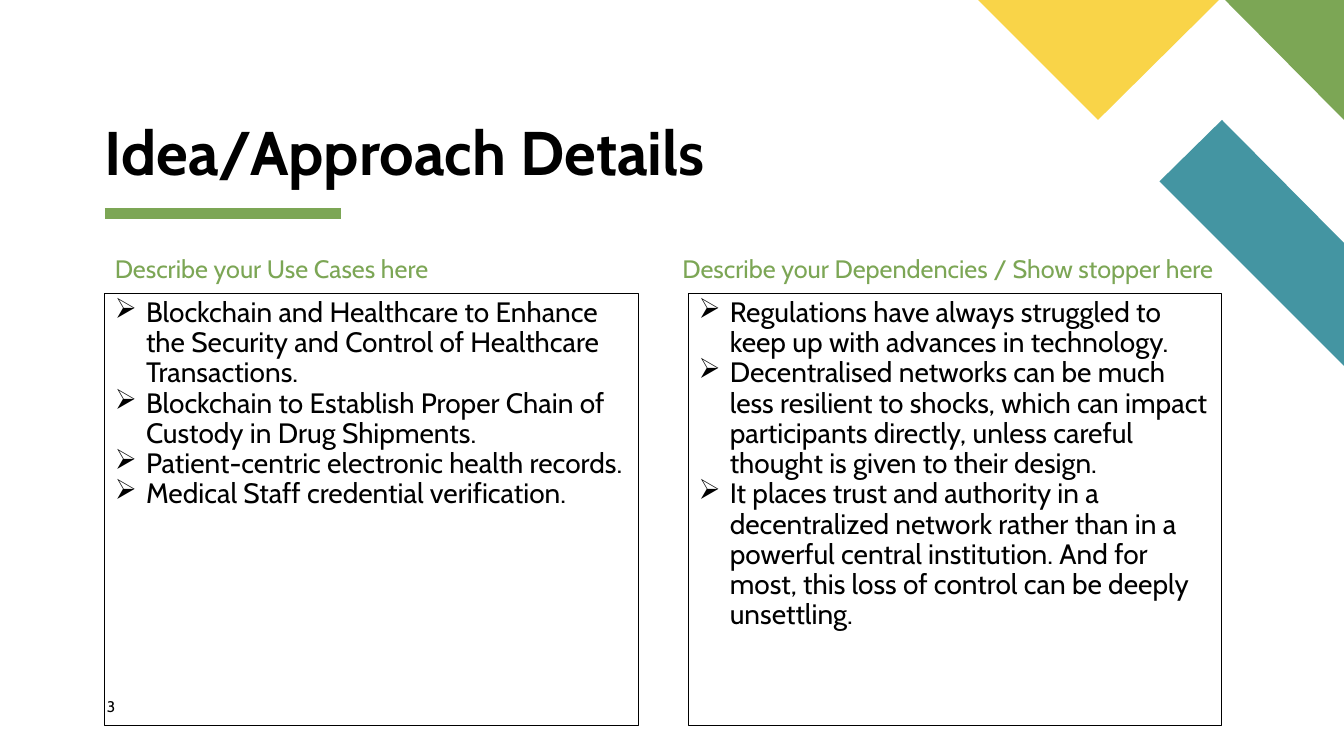
"""Build the Idea/Approach Details slide."""
from dataclasses import dataclass

from lxml.etree import SubElement
from pptx import Presentation
from pptx.dml.color import RGBColor
from pptx.enum.shapes import MSO_CONNECTOR, MSO_SHAPE
from pptx.enum.text import MSO_ANCHOR, PP_ALIGN
from pptx.oxml.ns import qn
from pptx.util import Inches, Pt

BLACK = RGBColor(0x00, 0x00, 0x00)
GREEN = RGBColor(0x7C, 0xA6, 0x55)
TEAL = RGBColor(0x44, 0x95, 0xA2)
YELLOW = RGBColor(0xF9, 0xD4, 0x48)
FONT = "Cabin"
WIDTH, HEIGHT = 13.33, 7.5
LEFT = 1.04
HEADING_TOP, HEADING_HEIGHT = 2.5, 0.35
BOX_TOP, BOX_WIDTH, BOX_HEIGHT = 2.91, 5.29, 4.29
BULLET_INDENT = 0.31


@dataclass(frozen=True)
class Polygon:
    points: tuple[tuple[float, float], ...]
    color: RGBColor


@dataclass(frozen=True)
class Column:
    heading: str
    heading_left: float
    heading_width: float
    box_left: float
    bullets: tuple[str, ...]


POLYGONS = (
    Polygon(((WIDTH, 3.63), (WIDTH, 2.41), (12.12, 1.19), (11.5, 1.8)), TEAL),
    Polygon(((WIDTH, 1.19), (WIDTH, 0), (12.15, 0)), GREEN),
    Polygon(((9.7, 0), (10.89, 1.19), (12.09, 0)), YELLOW),
)

COLUMNS = (
    Column("Describe your Use Cases here", LEFT, BOX_WIDTH, LEFT, (
        "Blockchain and Healthcare to Enhance the Security and Control of "
        "Healthcare Transactions.",
        "Blockchain to Establish Proper Chain of Custody in Drug Shipments.",
        "Patient-centric electronic health records.",
        "Medical Staff credential verification.",
    )),
    Column("Describe your Dependencies / Show stopper here", 6.67, 5.62, 6.83, (
        "Regulations have always struggled to keep up with advances in technology.",
        "Decentralised networks can be much less resilient to shocks, which can "
        "impact participants directly, unless careful thought is given to their design.",
        "It places trust and authority in a decentralized network rather than in a "
        "powerful central institution. And for most, this loss of control can be "
        "deeply unsettling.",
    )),
)


def add_polygon(slide, polygon: Polygon) -> None:
    start, *others = [(Inches(x), Inches(y)) for x, y in polygon.points]
    builder = slide.shapes.build_freeform(*start)
    builder.add_line_segments(others, close=True)
    shape = builder.convert_to_shape()
    shape.shadow.inherit = False
    shape.fill.solid()
    shape.fill.fore_color.rgb = polygon.color
    shape.line.fill.background()


def add_accent_line(slide) -> None:
    line = slide.shapes.add_connector(
        MSO_CONNECTOR.STRAIGHT, Inches(LEFT), Inches(2.12), Inches(3.38), Inches(2.12))
    line.line.color.rgb = GREEN
    line.line.width = Pt(8)
    SubElement(line.element.spPr, qn("a:effectLst"))


def set_margins(text_frame, horizontal: float, vertical: float) -> None:
    text_frame.margin_left = text_frame.margin_right = Inches(horizontal)
    text_frame.margin_top = text_frame.margin_bottom = Inches(vertical)


def add_run(paragraph, text: str, size: float, color: RGBColor = BLACK,
            bold: bool = False) -> None:
    run = paragraph.add_run()
    run.text = text
    run.font.name = FONT
    run.font.size = Pt(size)
    run.font.bold = bold
    run.font.color.rgb = color


def add_label(slide, text: str, left: float, top: float, width: float, height: float,
              size: float, color: RGBColor = BLACK, bold: bool = False,
              margins: tuple[float, float] = (0, 0), line_spacing: float = 0.9,
              anchor: MSO_ANCHOR = MSO_ANCHOR.TOP) -> None:
    shape = slide.shapes.add_textbox(Inches(left), Inches(top), Inches(width), Inches(height))
    text_frame = shape.text_frame
    text_frame.word_wrap = True
    text_frame.vertical_anchor = anchor
    set_margins(text_frame, *margins)
    paragraph = text_frame.paragraphs[0]
    paragraph.line_spacing = line_spacing
    add_run(paragraph, text, size, color, bold)


def set_bullet(paragraph) -> None:
    properties = paragraph._p.get_or_add_pPr()
    properties.set("marL", str(Inches(BULLET_INDENT)))
    properties.set("indent", str(-Inches(BULLET_INDENT)))
    bullet_color = SubElement(properties, qn("a:buClr"))
    SubElement(bullet_color, qn("a:srgbClr"), val=str(BLACK))
    SubElement(properties, qn("a:buChar"), char="➢")


def add_column(slide, column: Column) -> None:
    add_label(slide, column.heading, column.heading_left, HEADING_TOP,
              column.heading_width, HEADING_HEIGHT, 18, GREEN, margins=(0.1, 0.05))
    box = slide.shapes.add_shape(
        MSO_SHAPE.RECTANGLE, Inches(column.box_left), Inches(BOX_TOP),
        Inches(BOX_WIDTH), Inches(BOX_HEIGHT))
    box.shadow.inherit = False
    box.fill.background()
    box.line.color.rgb = BLACK
    box.line.width = Pt(0.75)
    text_frame = box.text_frame
    text_frame.word_wrap = True
    text_frame.vertical_anchor = MSO_ANCHOR.TOP
    set_margins(text_frame, 0.1, 0.05)
    for index, bullet in enumerate(column.bullets):
        paragraph = text_frame.add_paragraph() if index else text_frame.paragraphs[0]
        paragraph.alignment = PP_ALIGN.LEFT
        paragraph.line_spacing = 0.9
        set_bullet(paragraph)
        add_run(paragraph, bullet, 20)


def main() -> None:
    presentation = Presentation()
    presentation.slide_width = Inches(WIDTH)
    presentation.slide_height = Inches(HEIGHT)
    slide = presentation.slides.add_slide(presentation.slide_layouts[6])
    add_accent_line(slide)
    for polygon in POLYGONS:
        add_polygon(slide, polygon)
    add_label(slide, "Idea/Approach Details", LEFT, 1.2, 6.32, 0.67, 44, bold=True,
              anchor=MSO_ANCHOR.BOTTOM)
    for column in COLUMNS:
        add_column(slide, column)
    add_label(slide, "3", 1.06, 6.92, 0.57, 0.27, 11, line_spacing=1.0)
    presentation.save("out.pptx")


if __name__ == "__main__":
    main()
